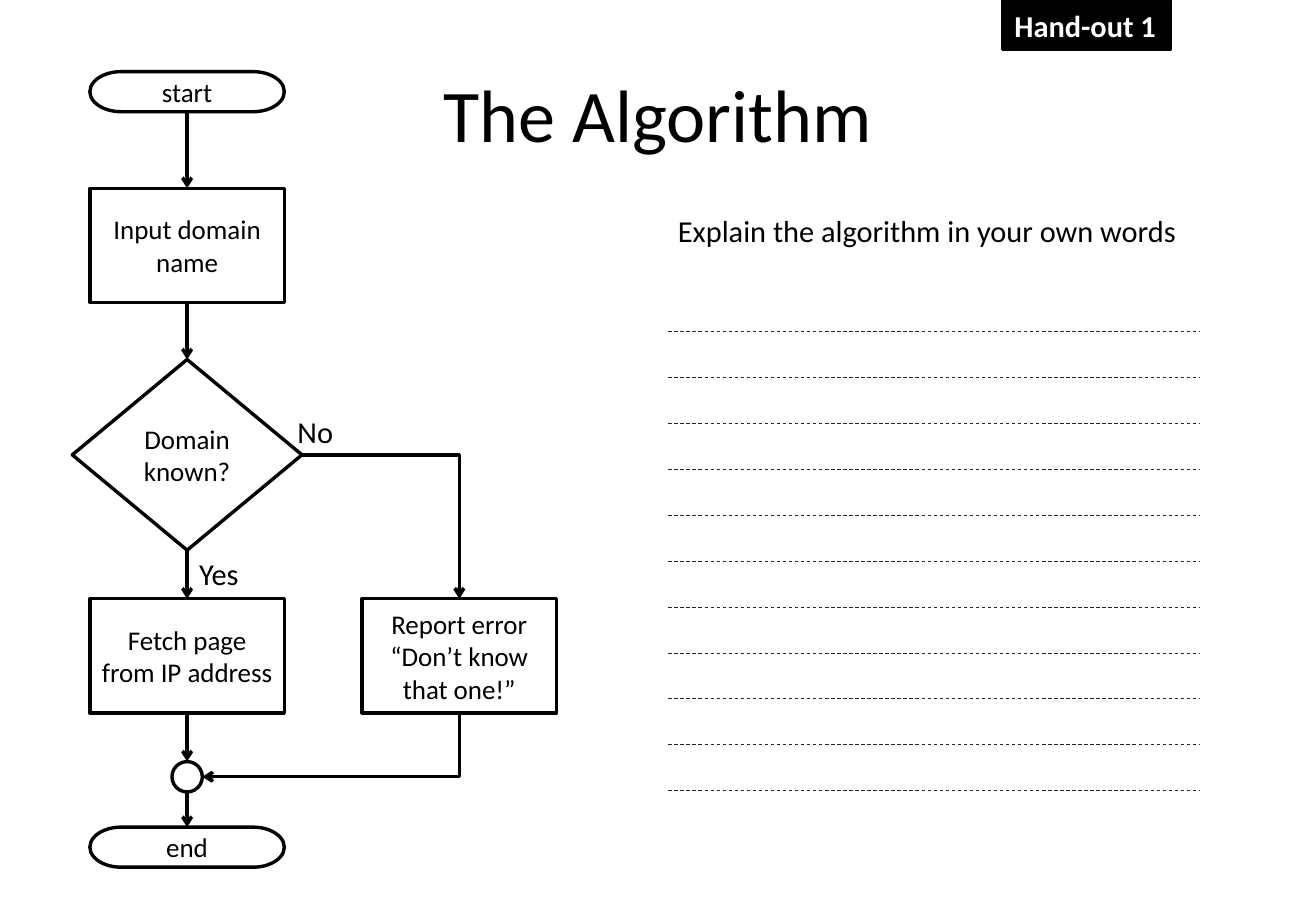
from dataclasses import dataclass

from lxml import etree
from pptx import Presentation
from pptx import util as u
from pptx.dml.color import RGBColor
from pptx.enum import dml, shapes, text
from pptx.oxml.ns import qn


@dataclass(frozen=True)
class Theme:
    font: str = "Calibri"
    ink: RGBColor = RGBColor(0, 0, 0)
    paper: RGBColor = RGBColor(255, 255, 255)
    rule: RGBColor = RGBColor(0x26, 0x26, 0x26)
    title_size: int = 44
    label_size: int = 18
    step_size: int = 16
    line: float = 2
    rule_line: float = 0.5


theme = Theme()
SLIDE_W, SLIDE_H = 10.83, 7.5
COLUMNS = {"main": 1.54, "error": 3.78}  # centre of each flow column
KINDS = {  # preset, width, height
    "terminator": (shapes.MSO_SHAPE.FLOWCHART_TERMINATOR, 1.6, 0.33),
    "process": (shapes.MSO_SHAPE.FLOWCHART_PROCESS, 1.6, 0.94),
    "decision": (shapes.MSO_SHAPE.FLOWCHART_DECISION, 1.89, 1.57),
    "junction": (shapes.MSO_SHAPE.FLOWCHART_CONNECTOR, 0.25, 0.25),
}
SITES = {"top": 0, "left": 1, "bottom": 2, "right": 3}
ROUND_SITES = {"top": 0, "left": 2, "bottom": 4, "right": 6}

TITLE = "The Algorithm"
STEPS = {  # kind, column, top, lines
    "start": ("terminator", "main", 0.59, ["start"]),
    "input": ("process", "main", 1.55, ["Input domain name"]),
    "known": ("decision", "main", 2.96, ["Domain known?"]),
    "fetch": ("process", "main", 4.93, ["Fetch page from IP address"]),
    "report": ("process", "error", 4.93, ["Report error", "“Don’t know that one!”"]),
    "merge": ("junction", "main", 6.27, []),
    "end": ("terminator", "main", 6.81, ["end"]),
}
ARROWS = [
    ("start", "bottom", "input", "top"),
    ("input", "bottom", "known", "top"),
    ("known", "bottom", "fetch", "top"),
    ("fetch", "bottom", "merge", "top"),
    ("merge", "bottom", "end", "top"),
    ("known", "right", "report", "top"),
    ("report", "bottom", "merge", "right"),
]
LABELS = [  # text, left, top, width
    ("No", 2.35, 3.35, 0.5),
    ("Yes", 1.54, 4.52, 0.53),
    ("Explain the algorithm in your own words", 5.48, 1.7, 4.35),
]
BADGE = ("Hand-out 1", 8.25, 0.01, 1.38)
LABEL_H = 0.4
ANSWER_LEFT, ANSWER_RIGHT = 5.5, 9.87
ANSWER_TOP, ANSWER_BOTTOM, ANSWER_COUNT = 2.73, 6.51, 11


def inches(*lengths):
    return [u.Inches(length) for length in lengths]


def write(frame, lines, size, align, color=theme.ink, bold=False):
    for index, line in enumerate(lines):
        paragraph = frame.paragraphs[0] if index == 0 else frame.add_paragraph()
        paragraph.alignment = align
        run = paragraph.add_run()
        run.text = line
        run.font.name, run.font.size = theme.font, u.Pt(size)
        run.font.bold, run.font.color.rgb = bold, color


def add_box(preset, left, top, width, height, fill):
    box = slide.shapes.add_shape(preset, *inches(left, top, width, height))
    box.shadow.inherit = False
    box.fill.solid()
    box.fill.fore_color.rgb = fill
    box.line.color.rgb, box.line.width = theme.ink, u.Pt(theme.line)
    return box


def add_step(kind, column, top, lines):
    preset, width, height = KINDS[kind]
    step = add_box(preset, COLUMNS[column] - width / 2, top, width, height, theme.paper)
    frame = step.text_frame
    frame.word_wrap = True
    frame.vertical_anchor = text.MSO_ANCHOR.MIDDLE
    frame.margin_left = frame.margin_right = u.Inches(0.08)
    write(frame, lines, theme.step_size, text.PP_ALIGN.CENTER)
    return step


def add_line(begin, end, color, width):
    line = slide.shapes.add_connector(shapes.MSO_CONNECTOR.STRAIGHT, *begin, *end)
    line.line.color.rgb, line.line.width = color, u.Pt(width)
    etree.SubElement(line._element.spPr, qn("a:effectLst"))
    return line


def site_point(step, side):
    across = {"left": 0, "right": step.width}.get(side, step.width // 2)
    down = {"top": 0, "bottom": step.height}.get(side, step.height // 2)
    return step.left + across, step.top + down


def bend(arrow, begin, end, first_side):
    """Turn a straight arrow into one with a single right-angled corner."""
    props = arrow._element.spPr
    props.find(qn("a:prstGeom")).set("prst", "bentConnector2")
    if first_side == "bottom":  # down, then left: a quarter turn of the preset
        run, drop = begin[0] - end[0], end[1] - begin[1]
        frame = props.find(qn("a:xfrm"))
        frame.attrib.pop("flipH", None)
        frame.set("rot", str(90 * 60000))
        arrow.left = (begin[0] + end[0] - drop) // 2
        arrow.top = (begin[1] + end[1] - run) // 2
        arrow.width, arrow.height = drop, run


def add_arrow(source, source_side, target, target_side):
    begin = site_point(steps[source], source_side)
    end = site_point(steps[target], target_side)
    arrow = add_line(begin, end, theme.ink, theme.line)
    if {source_side, target_side} != {"top", "bottom"}:
        bend(arrow, begin, end, source_side)
    etree.SubElement(arrow.line._get_or_add_ln(), qn("a:tailEnd"), type="arrow")
    links = arrow._element.find(qn("p:nvCxnSpPr")).find(qn("p:cNvCxnSpPr"))
    for tag, name, side in (("a:stCxn", source, source_side), ("a:endCxn", target, target_side)):
        sites = ROUND_SITES if STEPS[name][0] == "junction" else SITES
        etree.SubElement(links, qn(tag), id=str(steps[name].shape_id), idx=str(sites[side]))


deck = Presentation()
deck.slide_width, deck.slide_height = inches(SLIDE_W, SLIDE_H)
slide = deck.slides.add_slide(deck.slide_layouts[5])

title = slide.shapes.title
title.left, title.top, title.width, title.height = inches(
    SLIDE_W * 0.05, SLIDE_H * 0.04, SLIDE_W * 0.9, SLIDE_H / 6)
title.text_frame.vertical_anchor = text.MSO_ANCHOR.MIDDLE
write(title.text_frame, [TITLE], theme.title_size, text.PP_ALIGN.CENTER)

steps = {name: add_step(*step) for name, step in STEPS.items()}
for link in ARROWS:
    add_arrow(*link)

for words, left, top, width in LABELS:
    label = slide.shapes.add_textbox(*inches(left, top, width, LABEL_H))
    label.text_frame.word_wrap = False
    write(label.text_frame, [words], theme.label_size, text.PP_ALIGN.LEFT)

words, left, top, width = BADGE
badge = add_box(shapes.MSO_SHAPE.RECTANGLE, left, top, width, LABEL_H, theme.ink)
badge.text_frame.word_wrap = False
write(badge.text_frame, [words], theme.label_size, text.PP_ALIGN.LEFT, theme.paper, True)

answer_step = (ANSWER_BOTTOM - ANSWER_TOP) / (ANSWER_COUNT - 1)
for row in range(ANSWER_COUNT):
    y = ANSWER_TOP + row * answer_step
    answer = add_line(inches(ANSWER_LEFT, y), inches(ANSWER_RIGHT, y), theme.rule, theme.rule_line)
    answer.line.dash_style = dml.MSO_LINE.DASH

deck.save("out.pptx")
